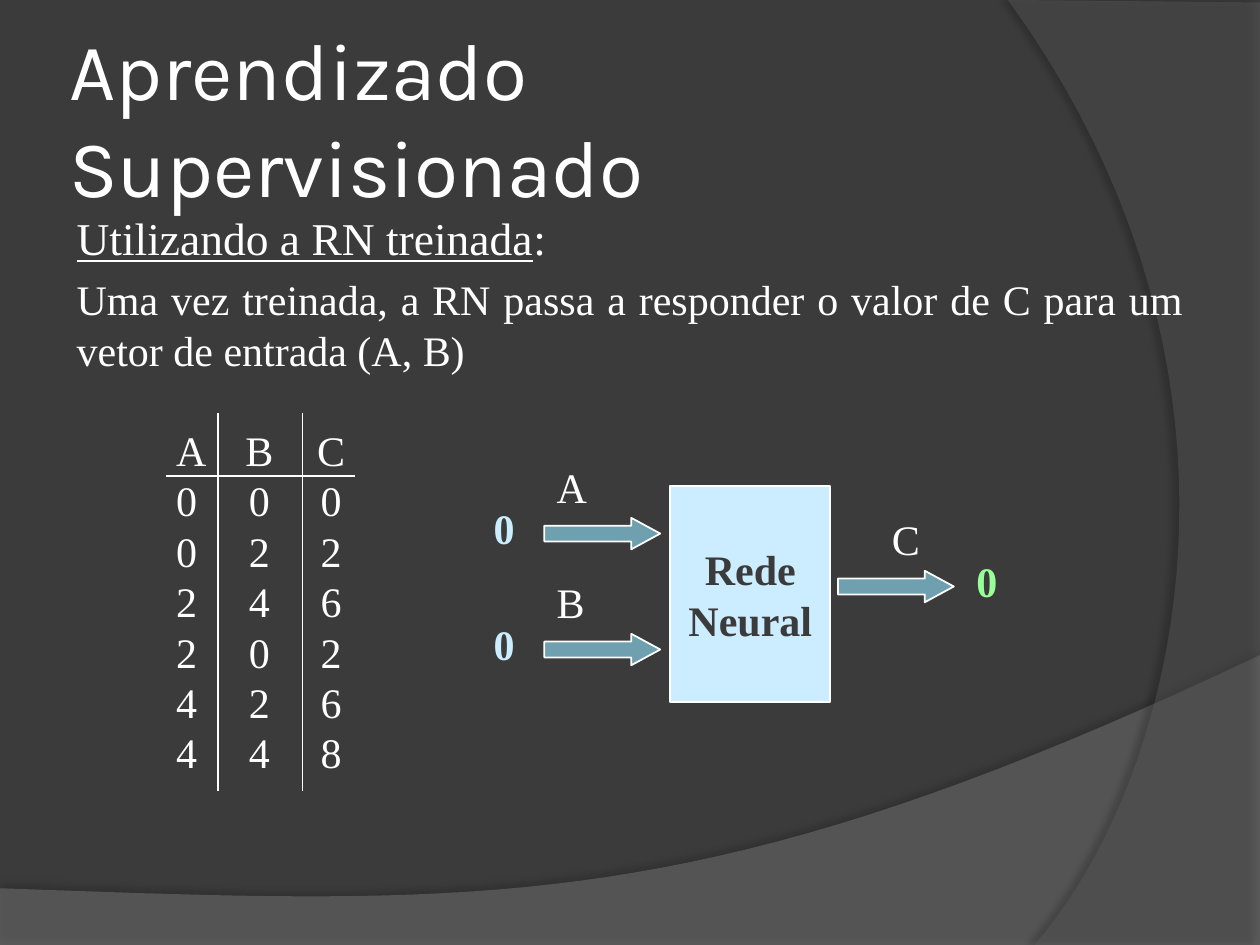
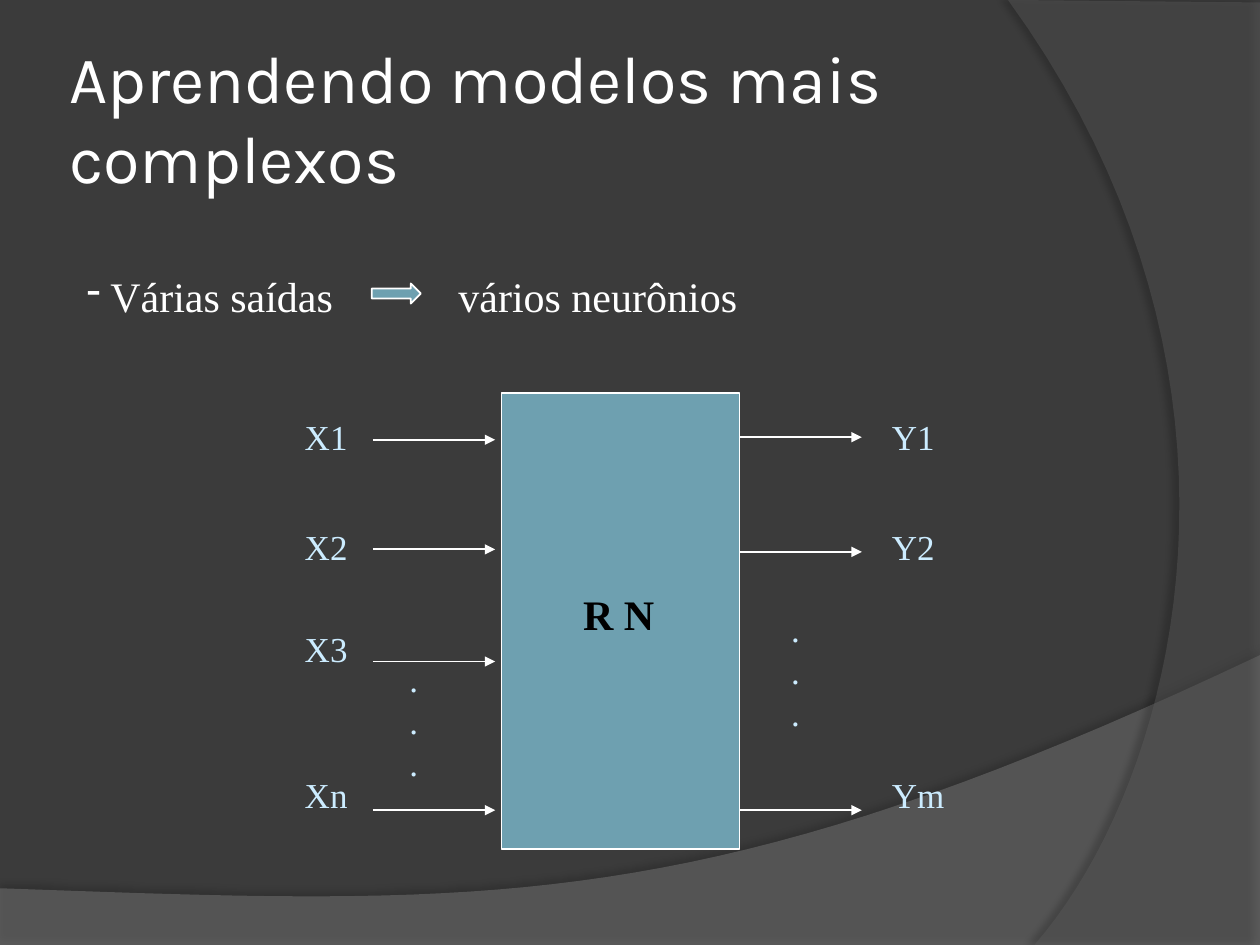
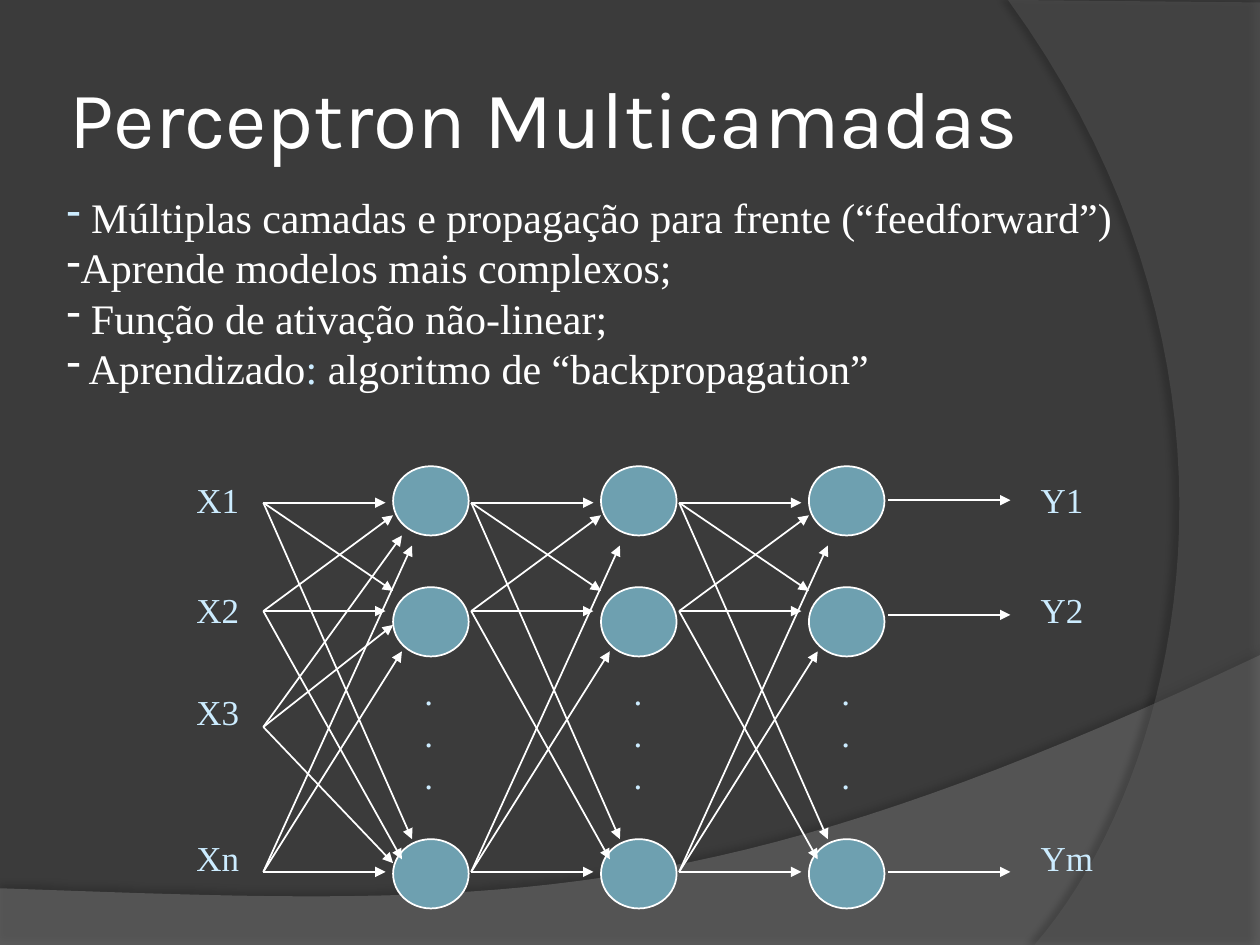
"""Build three slides on supervised learning and multilayer neural networks."""
import lxml.etree
import pptx
import pptx.dml.color
import pptx.enum.shapes
import pptx.enum.text
import pptx.oxml.ns
import pptx.util

Inches = pptx.util.Inches
Pt = pptx.util.Pt
RGB = pptx.dml.color.RGBColor.from_string
MSO_SHAPE = pptx.enum.shapes.MSO_SHAPE
PP_ALIGN = pptx.enum.text.PP_ALIGN
ANCHOR = pptx.enum.text.MSO_ANCHOR
qn = pptx.oxml.ns.qn
sub = lxml.etree.SubElement


class Theme:
    background = RGB("3B3B3B")
    white = RGB("FFFFFF")
    black = RGB("000000")
    teal = RGB("6EA0B0")
    pale = RGB("CCECFF")
    green = RGB("99FF99")
    low_band = RGB("7F7F7F")
    side_band = RGB("5E5E5E")
    title_font = "Karla"
    body_font = "Times New Roman"
    title = 46
    long_title = 38
    lead = 26
    body = 24
    label = 20
    rule = Pt(1)


def add_text(s, box, text, size=Theme.body, color=Theme.white, font=Theme.body_font,
             bold=False, wrap=True):
    """Add a text box; "|" in the text starts a new run."""
    tf = s.shapes.add_textbox(*map(Inches, box)).text_frame
    tf.word_wrap = wrap
    tf.text = text
    for p in tf.paragraphs:
        first, *rest = p.text.split("|")
        p.text = first
        for piece in rest:
            p.add_run().text = piece
        for r in p.runs:
            r.font.size, r.font.name, r.font.bold = Pt(size), font, bold
            r.font.color.rgb = color
    return tf


def add_block(s, kind, box, fill=Theme.teal):
    """Add a filled preset shape with a thin white outline."""
    sp = s.shapes.add_shape(kind, *map(Inches, box))
    sp.shadow.inherit = False
    sp.fill.solid()
    sp.fill.fore_color.rgb = fill
    sp.line.color.rgb = Theme.white
    sp.line.width = Theme.rule
    return sp


prs = pptx.Presentation()
prs.slide_width, prs.slide_height = Inches(10), Inches(7.5)
prs.slide_master.background.fill.solid()
prs.slide_master.background.fill.fore_color.rgb = Theme.background

# (outline before the curve, curve control points, colour, opacity, shadow opacity,
#  shadow distance, shadow direction)
bands = (
    ([(0, 7.05), (0, 7.5), (10, 7.5)], [(10, 5.2), (5.59, 7.29), (3.91, 7.19), (0, 7.05)],
     Theme.low_band, 45, 35, 3.5, 270),
    ([(10, 0.02), (10, 7.5)], [(8.21, 7.5), (9.35, 6.19), (10.18, 3), (8, 0)],
     Theme.side_band, 40, 45, 4, 180),
)
titles = (
    ("Aprendizado Supervisionado", 8.17, Theme.title),
    ("Aprendendo modelos mais complexos", 9.07, Theme.long_title),
    ("Perceptron Multicamadas", 8.17, Theme.title),
)
slides = []
for title, width, size in titles:
    s = prs.slides.add_slide(prs.slide_layouts[6])
    slides.append(s)
    for corners, (a, b, c, d), color, opacity, shade, distance, direction in bands:
        points = list(corners)
        for step in range(41):
            t = step / 40
            points.append(tuple(
                (1 - t) ** 3 * a[i] + 3 * t * (1 - t) ** 2 * b[i]
                + 3 * t ** 2 * (1 - t) * c[i] + t ** 3 * d[i] for i in (0, 1)))
        points = [(Inches(x), Inches(y)) for x, y in points]
        outline = s.shapes.build_freeform(*points[0])
        outline.add_line_segments(points[1:], close=True)
        sp = outline.convert_to_shape()
        sp.fill.solid()
        sp.fill.fore_color.rgb = color
        sp.line.fill.background()
        sp.shadow.inherit = False
        spPr = sp._element.spPr
        fill_color = spPr.find(qn("a:solidFill"))[0]
        sub(fill_color, qn("a:alpha"), val=str(opacity * 1000))
        shadow = sub(spPr.find(qn("a:effectLst")), qn("a:outerShdw"), blurRad=str(Pt(4)),
                     dist=str(Pt(distance)), dir=str(direction * 60000), rotWithShape="0")
        shadow_color = sub(shadow, qn("a:srgbClr"), val=str(Theme.black))
        sub(shadow_color, qn("a:alpha"), val=str(shade * 1000))
    tf = add_text(s, (0.5, 0.3, width, 1.25), title, size, font=Theme.title_font)
    tf.vertical_anchor = ANCHOR.MIDDLE
    tf.margin_left = tf.margin_right = Inches(0.05)
trained, outputs, multilayer = slides
lines = []

tf = add_text(trained, (0.51, 1.62, 8.98, 1.25),
              "Utilizando a RN treinada|:\nUma vez treinada, a RN passa a responder o valor "
              "de C para um vetor de entrada (A, B)")
for p in tf.paragraphs:
    p.alignment = PP_ALIGN.JUSTIFY
for r in tf.paragraphs[0].runs:
    r.font.size = Pt(Theme.lead)
tf.paragraphs[0].runs[0].font.underline = True
tf.paragraphs[1].space_before = Pt(5)

samples = ("ABC", "000", "022", "246", "202", "426", "448")
sample_tf = add_text(trained, (1.3, 3.32, 1.6, 2.9), "\n".join("\t".join(row) for row in samples))
for start, end in (((1.73, 3.28), (1.73, 6.28)), ((2.4, 3.28), (2.4, 6.28)),
                   ((1.32, 3.78), (2.82, 3.78))):
    lines.append((trained, start, end, False))

network = add_block(trained, MSO_SHAPE.RECTANGLE, (5.32, 3.86, 1.27, 1.71), Theme.pale)
tf = network.text_frame
tf.text = "Rede\nNeural"
tf.vertical_anchor = ANCHOR.MIDDLE
for p in tf.paragraphs:
    p.alignment = PP_ALIGN.CENTER
    f = p.runs[0].font
    f.size, f.name, f.bold = Pt(Theme.body), Theme.body_font, True
    f.color.rgb = Theme.background

for name, x, y, name_x, value_x, color in (
        ("A", 4.32, 4.11, 4.32, 3.82, Theme.pale),
        ("B", 4.32, 5.03, 4.32, 3.82, Theme.pale),
        ("C", 6.65, 4.53, 6.98, 7.65, Theme.green)):
    arrow = add_block(trained, MSO_SHAPE.RIGHT_ARROW, (x, y, 0.92, 0.25))
    arrow.adjustments[1] = 0.92
    add_text(trained, (name_x, y - 0.5, 0.5, 0.5), name)
    add_text(trained, (value_x, y - 0.17, 0.42, 0.5), "0", color=color, bold=True)

outputs_tf = add_text(outputs, (0.59, 2.1, 7.24, 0.51), " Várias saídas\tvários neurônios")
add_block(outputs, MSO_SHAPE.RIGHT_ARROW, (2.95, 2.25, 0.39, 0.16))
add_block(outputs, MSO_SHAPE.RECTANGLE, (3.98, 3.12, 1.89, 3.62))
add_text(outputs, (4.53, 4.62, 0.86, 0.51), "R N", color=Theme.black, bold=True, wrap=False)
for x, heights in ((2.96, (3.49, 4.36, 5.25, 6.43)), (5.87, (3.47, 4.38, 6.43))):
    for y in heights:
        lines.append((outputs, (x, y), (x + 0.97, y), True))

layers_tf = add_text(multilayer, (0.43, 1.47, 8.82, 2.52),
                     " |Múltiplas camadas e propagação para frente (“feedforward”)\n"
                     "Aprende modelos mais complexos;\n"
                     " Função de ativação não-linear;\n"
                     " Aprendizado|: |algoritmo de “backpropagation”")
layers_tf.paragraphs[0].runs[0].font.color.rgb = Theme.pale
layers_tf.paragraphs[3].runs[1].font.color.rgb = Theme.pale

# Arrow ends per source height, as offsets from the layer's left edge
fan = {
    3.99: ((0.97, 3.99), (1.03, 4.69), (1.18, 6.66)),
    4.85: ((0.97, 4.85), (1.03, 4.09), (1.1, 6.82)),
    6.92: ((0.97, 6.92), (1.1, 5.17), (1.18, 4.33)),
}
third_input = {5.77: ((1.03, 6.85), (1.03, 4.96), (1.1, 4.25))}
for layer in range(3):
    x = 2.09 + 1.65 * layer
    for y in (3.7, 4.66, 6.66):
        add_block(multilayer, MSO_SHAPE.OVAL, (x + 1.03, y, 0.6, 0.55))
    sources = fan if layer else {**fan, **third_input}
    for y, ends in sources.items():
        for dx, end_y in ends:
            lines.append((multilayer, (x, y), (x + dx, end_y), True))
for y in (3.97, 4.88, 6.92):
    lines.append((multilayer, (7.05, y), (8.02, y), True))

for s, left, right, top in ((outputs, 2.32, 6.98, 3.25), (multilayer, 1.46, 8.16, 3.75)):
    for x, names in ((left, ("X1", "X2", "X3", "Xn")), (right, ("Y1", "Y2", "", "Ym"))):
        for name, dy in zip(names, (0, 0.87, 1.68, 2.84)):
            if name:
                width = 0.62 if name == "Ym" else 0.55
                add_text(s, (x, top + dy, width, 0.44), name, Theme.label, Theme.pale, wrap=False)
for s, x, y in ((outputs, 3.15, 5.17), (outputs, 6.18, 4.77), (multilayer, 3.27, 5.27),
                (multilayer, 4.93, 5.27), (multilayer, 6.58, 5.27)):
    add_text(s, (x, y, 0.27, 1.11), ".\n.\n.", Theme.label, Theme.pale)

for tf in (outputs_tf, layers_tf):
    for p in tf.paragraphs:
        pPr = p._p.get_or_add_pPr()
        pPr.set("marL", "0")
        pPr.set("indent", "0")
        sub(pPr, qn("a:buChar"), char="-")
for tf, align, stops in ((sample_tf, "ctr", (0.66, 1.23)), (outputs_tf, "l", (2.95,))):
    for p in tf.paragraphs:
        tabs = sub(p._p.get_or_add_pPr(), qn("a:tabLst"))
        for stop in stops:
            sub(tabs, qn("a:tab"), pos=str(Inches(stop)), algn=align)

for s, start, end, has_head in lines:
    c = s.shapes.add_connector(pptx.enum.shapes.MSO_CONNECTOR.STRAIGHT,
                               *map(Inches, start + end))
    c.line.color.rgb = Theme.white
    c.line.width = Theme.rule
    spPr = c._element.spPr
    if has_head:
        sub(spPr.find(qn("a:ln")), qn("a:tailEnd"), type="triangle", w="med", len="med")
    sub(spPr, qn("a:effectLst"))

prs.save("out.pptx")
